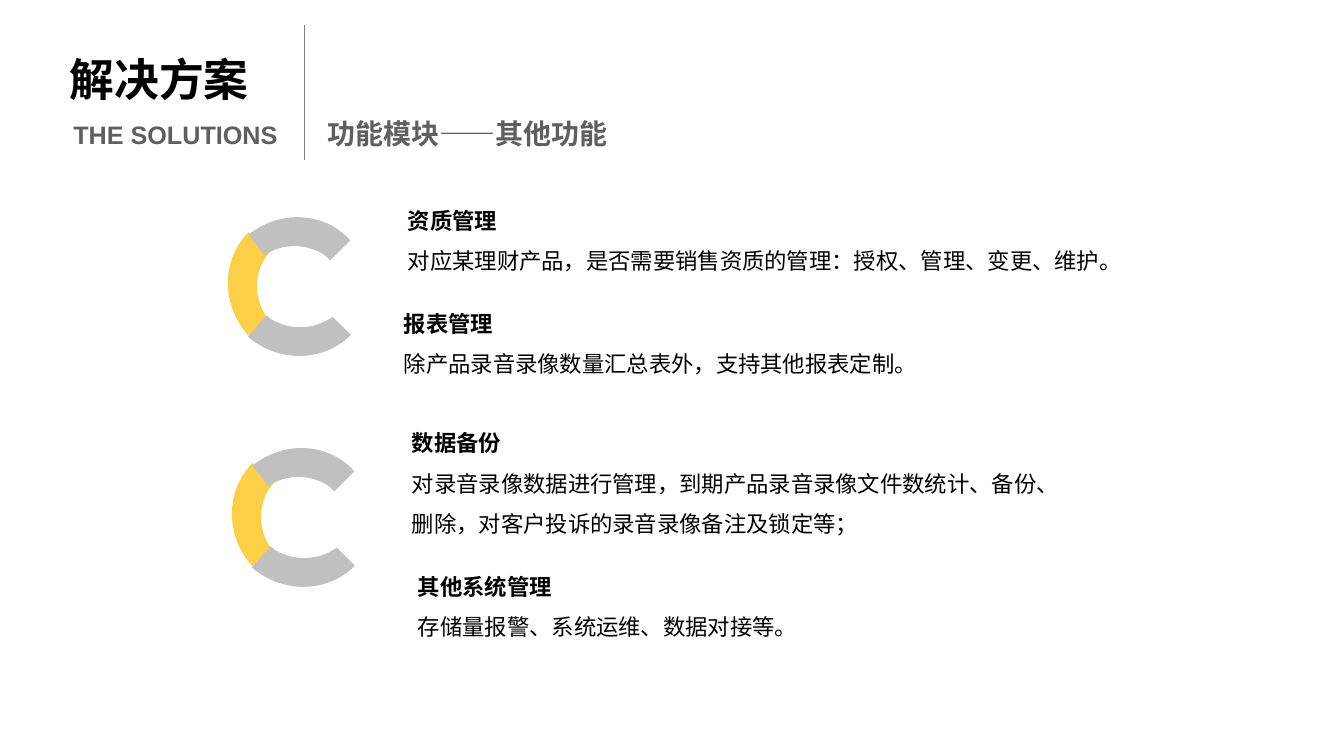
from dataclasses import dataclass
from math import cos, radians, sin

from lxml.etree import SubElement
from pptx import Presentation
from pptx.dml.color import RGBColor
from pptx.enum.shapes import MSO_CONNECTOR
from pptx.enum.text import MSO_ANCHOR, MSO_AUTO_SIZE, PP_ALIGN
from pptx.oxml.ns import qn
from pptx.shapes.autoshape import Shape
from pptx.slide import Slide
from pptx.util import Inches, Pt

FONT = "Arial"
BLACK, GREY, RULE_GREY = "000000", "5F5F5F", "7F7F7F"
YELLOW, SILVER = "FBCF46", "C0C0C0"

Point = tuple[float, float]


@dataclass(frozen=True)
class Label:
    text: str
    left: float
    top: float
    width: float
    height: float
    size: int


@dataclass(frozen=True)
class Feature:
    heading: str
    body: str
    left: float
    top: float
    width: float
    height: float = 0.9


@dataclass(frozen=True)
class RingSegment:
    """A turned box; its outline has straight edges and two Bezier curves."""
    color: str
    left: float
    top: float
    width: float
    height: float
    rotation: int
    start_edge: list[Point]
    inner_curve: list[Point]
    end_edge: list[Point]
    outer_curve: list[Point]


TITLE = Label("解决方案", 0.59, 0.46, 2.23, 0.64, 32)
SUBTITLES = [
    Label("功能模块——其他功能", 3.15, 1.11, 3.35, 0.44, 20),
    Label("THE SOLUTIONS", 0.63, 1.13, 3.66, 0.4, 18),
]
FEATURES = [
    Feature("资质管理", "对应某理财产品，是否需要销售资质的管理：授权、管理、变更、维护。",
            3.95, 1.87, 7.57),
    Feature("报表管理", "除产品录音录像数量汇总表外，支持其他报表定制。",
            3.91, 2.89, 6.96),
    Feature("数据备份", "对录音录像数据进行管理，到期产品录音录像文件数统计、备份、"
            "删除，对客户投诉的录音录像备注及锁定等；", 3.99, 4.08, 6.67, 1.3),
    Feature("其他系统管理", "存储量报警、系统运维、数据对接等。", 4.05, 5.5, 6.67),
]
RING_SEGMENTS = [
    RingSegment(YELLOW, 2.11, 2.45, 0.73, 0.74, 315, [(2.46, 2.3), (2.67, 2.5)],
                [(2.63, 2.55), (2.51, 2.73), (2.52, 2.97), (2.65, 3.15)],
                [(2.65, 3.16)],
                [(2.46, 3.32), (2.19, 3.02), (2.19, 2.57), (2.46, 2.3)]),
    RingSegment(SILVER, 2.6, 2.97, 0.75, 0.71, 222, [(2.45, 3.34), (2.64, 3.13)],
                [(2.69, 3.17), (2.88, 3.28), (3.12, 3.27), (3.3, 3.14)],
                [(3.3, 3.14)],
                [(3.48, 3.32), (3.2, 3.6), (2.75, 3.6), (2.45, 3.34)]),
    RingSegment(SILVER, 2.6, 2, 0.74, 0.73, 47, [(3.49, 2.38), (3.29, 2.58)],
                [(3.24, 2.53), (3.06, 2.41), (2.82, 2.4), (2.64, 2.52)],
                [(2.63, 2.52)],
                [(2.47, 2.32), (2.78, 2.07), (3.23, 2.09), (3.49, 2.38)]),
]
RING_OFFSETS = [(0, 0), (0.04, 2.29)]


def rgb(color: str) -> RGBColor:
    return RGBColor.from_string(color)


def turn_back(point: Point, segment: RingSegment) -> Point:
    """Undo the segment's rotation about the middle of its box."""
    angle = radians(-segment.rotation)
    middle_x = segment.left + segment.width / 2
    middle_y = segment.top + segment.height / 2
    x, y = point[0] - middle_x, point[1] - middle_y
    return (middle_x + x * cos(angle) - y * sin(angle),
            middle_y + x * sin(angle) + y * cos(angle))


def bend_lines(shape: Shape, curve_starts: list[int]) -> None:
    """Join the three lines after each starting point into a Bezier curve."""
    lines = list(shape._element.iter(qn("a:lnTo")))
    for start in curve_starts:
        curve_lines = lines[start:start + 3]
        curve = SubElement(curve_lines[0].getparent(), qn("a:cubicBezTo"))
        curve_lines[0].addprevious(curve)
        for line in curve_lines:
            curve.append(line[0])
            line.getparent().remove(line)


def write_lines(shape: Shape, lines: list[str], size: int, color: str,
                line_spacing: float = 1.0) -> None:
    """Fill a shape with left-aligned lines, the first of them bold."""
    frame = shape.text_frame
    frame.word_wrap = True
    frame.auto_size = MSO_AUTO_SIZE.SHAPE_TO_FIT_TEXT
    frame.vertical_anchor = MSO_ANCHOR.TOP
    for index, line in enumerate(lines):
        paragraph = frame.paragraphs[0] if index == 0 else frame.add_paragraph()
        paragraph.text = line
        paragraph.alignment = PP_ALIGN.LEFT
        paragraph.line_spacing = line_spacing
        paragraph.space_before = Pt(0)
        paragraph.font.name = FONT
        paragraph.font.size = Pt(size)
        paragraph.font.bold = index == 0
        paragraph.font.color.rgb = rgb(color)


def place(shape: Shape, box: Label | RingSegment, offset: Point = (0, 0)) -> None:
    shape.left, shape.top = Inches(box.left + offset[0]), Inches(box.top + offset[1])
    shape.width, shape.height = Inches(box.width), Inches(box.height)


def add_text_box(slide: Slide, box: Label | Feature) -> Shape:
    return slide.shapes.add_textbox(Inches(box.left), Inches(box.top),
                                    Inches(box.width), Inches(box.height))


def add_header(slide: Slide) -> None:
    title = slide.shapes.title
    place(title, TITLE)
    write_lines(title, [TITLE.text], TITLE.size, BLACK)

    divider = slide.shapes.add_connector(
        MSO_CONNECTOR.STRAIGHT, Inches(3.02), Inches(0.25), Inches(3.02), Inches(1.59))
    divider.line.color.rgb = rgb(RULE_GREY)
    divider.line.width = Pt(0.5)
    SubElement(divider._element.spPr, qn("a:effectLst"))

    for label in SUBTITLES:
        write_lines(add_text_box(slide, label), [label.text], label.size, GREY)


def add_ring_segment(slide: Slide, segment: RingSegment, offset: Point) -> None:
    inner_start = len(segment.start_edge)
    outer_start = inner_start + len(segment.inner_curve) + len(segment.end_edge)
    outline = (segment.start_edge + segment.inner_curve
               + segment.end_edge + segment.outer_curve)
    turned = [turn_back(point, segment) for point in outline]
    points = [(Inches(x), Inches(y)) for x, y in turned]
    builder = slide.shapes.build_freeform(*points[0])
    builder.add_line_segments(points[1:], close=True)
    shape = builder.convert_to_shape()
    bend_lines(shape, [inner_start, outer_start])
    place(shape, segment, offset)
    shape.rotation = segment.rotation
    shape.shadow.inherit = False
    shape.fill.solid()
    shape.fill.fore_color.rgb = rgb(segment.color)
    shape.line.fill.background()


def main() -> None:
    presentation = Presentation()
    presentation.slide_width = Inches(13.34)
    presentation.slide_height = Inches(7.5)
    slide = presentation.slides.add_slide(presentation.slide_layouts[5])

    # Title, divider and subtitles
    add_header(slide)

    # Two open rings
    for offset in RING_OFFSETS:
        for segment in RING_SEGMENTS:
            add_ring_segment(slide, segment, offset)

    # Feature descriptions
    for feature in FEATURES:
        write_lines(add_text_box(slide, feature), [feature.heading, feature.body],
                    16, BLACK, line_spacing=1.5)

    presentation.save("out.pptx")


if __name__ == "__main__":
    main()
